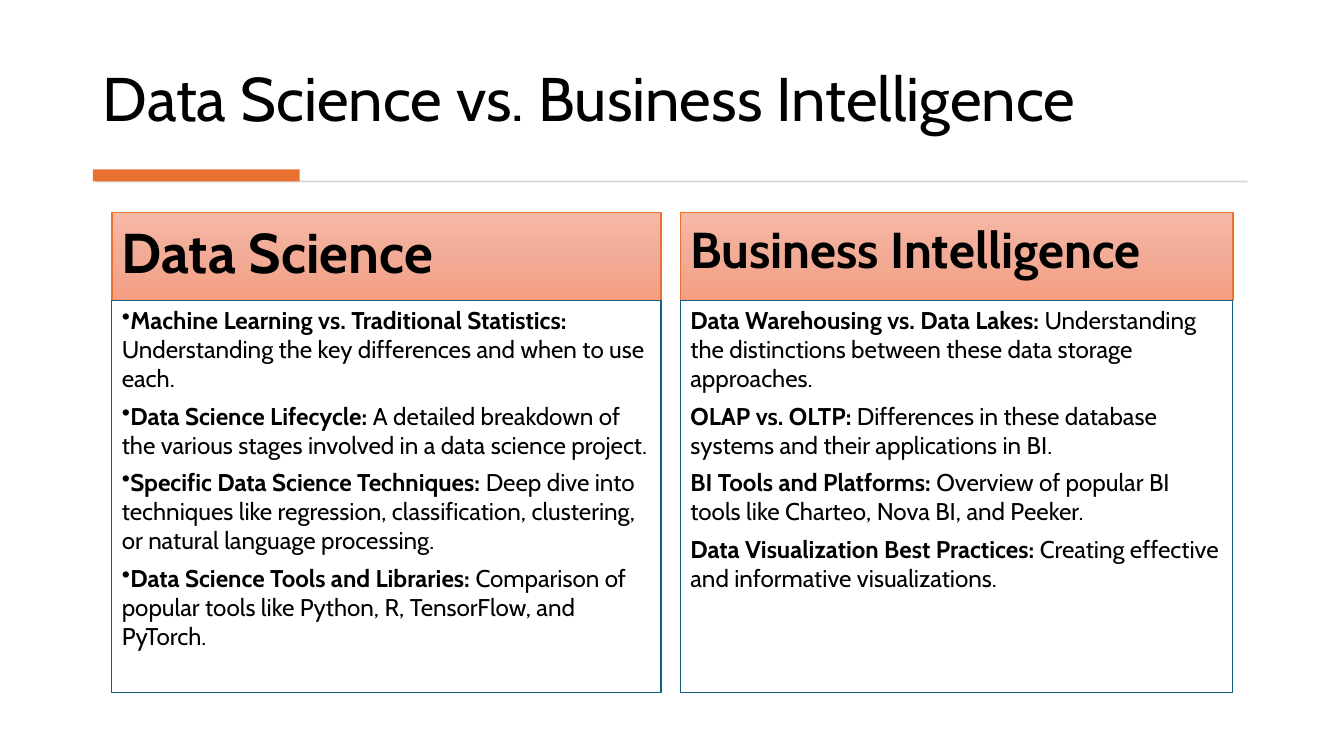
from copy import deepcopy

from lxml import etree
from pptx import Presentation
from pptx.dml.color import RGBColor
from pptx.enum.shapes import MSO_SHAPE
from pptx.enum.text import MSO_ANCHOR, MSO_AUTO_SIZE, PP_ALIGN
from pptx.oxml.ns import qn
from pptx.util import Cm, Pt

RECTANGLE = MSO_SHAPE.RECTANGLE
TOP, BOTTOM = MSO_ANCHOR.TOP, MSO_ANCHOR.BOTTOM
NO_AUTOFIT = MSO_AUTO_SIZE.NONE
LEFT = PP_ALIGN.LEFT
TITLE_ONLY = 5

BLACK, ORANGE, BLUE, GREY = "000000", "E97132", "156082", "D5D5D5"
HEADING_GRADIENT = ["F5B8A5", "F2AB96", "F59E82"]

HEADING_TOP, HEADING_HEIGHT, BODY_HEIGHT = 5.36, 2.21, 9.88
BODY_SIZE = 17.3

COLUMNS = [
    {
        "heading": "Data Science", "size": 40, "left": 2.82, "width": 13.84, "bullet": "•",
        "points": [
            ("Machine Learning vs. Traditional Statistics:",
             " Understanding the key differences and when to use each."),
            ("Data Science Lifecycle:",
             " A detailed breakdown of the various stages involved in a data science project."),
            ("Specific Data Science Techniques:",
             " Deep dive into techniques like regression, classification, clustering, "
             "or natural language processing."),
            ("Data Science Tools and Libraries:",
             " Comparison of popular tools like Python, R, TensorFlow, and PyTorch."),
        ],
    },
    {
        "heading": "Business Intelligence", "size": 36, "left": 17.15, "width": 13.92, "bullet": None,
        "points": [
            ("Data Warehousing vs. Data Lakes:",
             " Understanding the distinctions between these data storage approaches."),
            ("OLAP vs. OLTP:",
             " Differences in these database systems and their applications in BI."),
            ("BI Tools and Platforms:",
             " Overview of popular BI tools like Charteo, Nova BI, and Peeker."),
            ("Data Visualization Best Practices:",
             " Creating effective and informative visualizations."),
        ],
    },
]


def color(hex_string):
    return RGBColor.from_string(hex_string)


def apply(target, values):
    """Set every attribute named in values on the target."""
    for name, value in values.items():
        setattr(target, name, value)


class SlideBuilder:
    """Holds the text style and the current slide."""

    font_name = "Cabin"
    text_color = BLACK

    def __init__(self, slide):
        self.slide = slide

    def place(self, shape, left, top, width, height):
        apply(shape, {"left": Cm(left), "top": Cm(top), "width": Cm(width), "height": Cm(height)})

    def add_run(self, paragraph, text, size, bold=False):
        run = paragraph.add_run()
        run.text = text
        apply(run.font, {"name": self.font_name, "size": Pt(size), "bold": bold})
        run.font.color.rgb = color(self.text_color)

    def title(self, text, box, size):
        shape = self.slide.shapes.title
        self.place(shape, *box)
        apply(shape.text_frame,
              {"word_wrap": True, "auto_size": NO_AUTOFIT, "vertical_anchor": BOTTOM})
        paragraph = shape.text_frame.paragraphs[0]
        apply(paragraph, {"alignment": LEFT, "line_spacing": 0.9})
        self.add_run(paragraph, text, size)

    def rectangle(self, box, fill=None, line=None, line_width=1):
        shape = self.slide.shapes.add_shape(RECTANGLE, *map(Cm, box))
        shape.shadow.inherit = False
        if fill:
            shape.fill.solid()
            shape.fill.fore_color.rgb = color(fill)
        else:
            shape.fill.background()
        if line:
            shape.line.color.rgb = color(line)
            shape.line.width = Pt(line_width)
        else:
            shape.line.fill.background()
        return shape

    def gradient(self, shape, colors):
        """Fill the shape downwards with evenly spaced colours."""
        shape.fill.gradient()
        shape.fill.gradient_angle = 270
        first_stop = next(shape._element.iter(qn("a:gs")))
        for _ in colors[2:]:
            first_stop.addnext(deepcopy(first_stop))
        for index, stop in enumerate(shape.fill.gradient_stops):
            stop.position = index / (len(colors) - 1)
            stop.color.rgb = color(colors[index])

    def add_text(self, shape, paragraphs, size, bullet=None):
        """Fill the shape with paragraphs given as a bold lead and a plain rest."""
        frame = shape.text_frame
        apply(frame, {"word_wrap": True, "vertical_anchor": TOP})
        for index, (lead, rest) in enumerate(paragraphs):
            paragraph = frame.add_paragraph() if index else frame.paragraphs[0]
            if bullet:
                properties = paragraph._p.get_or_add_pPr()
                etree.SubElement(properties, qn("a:buChar"), char=bullet)
            apply(paragraph, {"alignment": LEFT, "space_after": Pt(6)})
            self.add_run(paragraph, lead, size, bold=True)
            if rest:
                self.add_run(paragraph, rest, size)

    def column(self, heading, size, left, width, bullet, points):
        header = self.rectangle((left, HEADING_TOP, width, HEADING_HEIGHT), line=ORANGE)
        self.gradient(header, HEADING_GRADIENT)
        self.add_text(header, [(heading, "")], size)
        body_top = HEADING_TOP + HEADING_HEIGHT
        body = self.rectangle((left, body_top, width, BODY_HEIGHT), line=BLUE, line_width=0.75)
        self.add_text(body, points, BODY_SIZE, bullet)


def main():
    presentation = Presentation()
    apply(presentation, {"slide_width": Cm(33.87), "slide_height": Cm(19.05)})
    slide = presentation.slides.add_slide(presentation.slide_layouts[TITLE_ONLY])
    builder = SlideBuilder(slide)
    builder.title("Data Science vs. Business Intelligence", (2.34, 0.71, 29.18, 2.82), 44)
    builder.rectangle((2.41, 4.55, 29.03, 0.05), fill=GREY)
    builder.rectangle((2.34, 4.27, 5.21, 0.3), fill=ORANGE)
    for column in COLUMNS:
        builder.column(**column)
    presentation.save("out.pptx")


if __name__ == "__main__":
    main()
